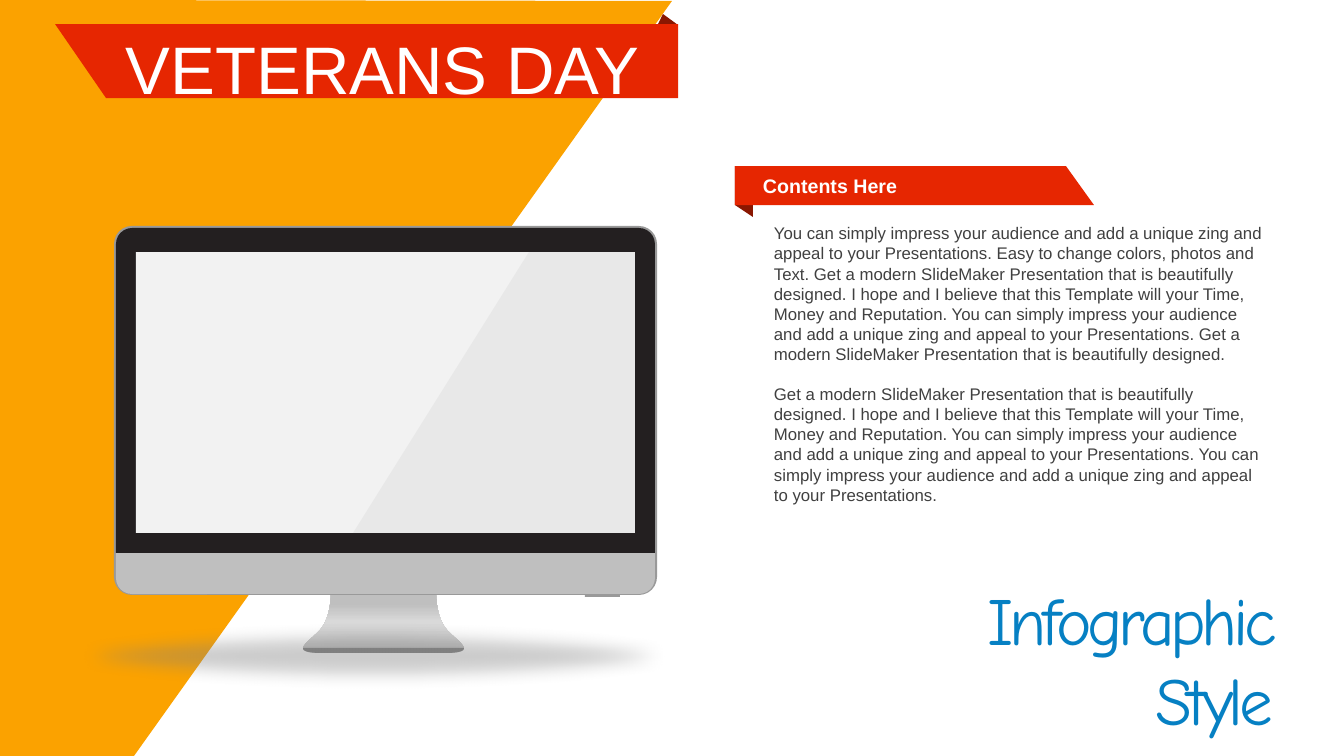
from lxml import etree
from pptx import Presentation
from pptx.dml.color import RGBColor
from pptx.enum.shapes import MSO_SHAPE
from pptx.enum.text import MSO_ANCHOR, PP_ALIGN
from pptx.oxml import parse_xml
from pptx.oxml.ns import nsdecls, qn
from pptx.util import Pt

RECTANGLE, ROUNDED, OVAL = MSO_SHAPE.RECTANGLE, MSO_SHAPE.ROUNDED_RECTANGLE, MSO_SHAPE.OVAL
ROUND_TOP = MSO_SHAPE.ROUND_2_SAME_RECTANGLE
TOP, MIDDLE = MSO_ANCHOR.TOP, MSO_ANCHOR.MIDDLE
LEFT, RIGHT = PP_ALIGN.LEFT, PP_ALIGN.RIGHT

EMU_PER_PX = 12192000 / 1344
CURVE_STEPS = 12
COLORS = {
    "orange": "FBA200", "red": "E62601", "fold": "8A1701", "white": "FFFFFF",
    "frame": "999999", "bezel": "231F20", "chin": "BFBFBF", "screen": "F2F2F2",
    "foot": "808080", "stand_light": "D9D9D9", "body": "404040", "blue": "0680C3",
}
BODY = [
    "You can simply impress your audience and add a unique zing and appeal to your "
    "Presentations. Easy to change colors, photos and Text. Get a modern SlideMaker "
    "Presentation that is beautifully designed. I hope and I believe that this Template "
    "will your Time, Money and Reputation. You can simply impress your audience and add a "
    "unique zing and appeal to your Presentations. Get a modern SlideMaker Presentation "
    "that is beautifully designed.",
    "Get a modern SlideMaker Presentation that is beautifully designed. I hope and I "
    "believe that this Template will your Time, Money and Reputation. You can simply "
    "impress your audience and add a unique zing and appeal to your Presentations. You can "
    "simply impress your audience and add a unique zing and appeal to your Presentations.",
]


def px(length):
    return round(length * EMU_PER_PX)


def paint(shape, color, opacity=100):
    shape.shadow.inherit = False
    shape.line.fill.background()
    shape.fill.solid()
    shape.fill.fore_color.rgb = RGBColor.from_string(COLORS[color])
    if opacity < 100:
        color_element = shape._element.spPr.find(qn("a:solidFill"))[0]
        etree.SubElement(color_element, qn("a:alpha"), val=str(opacity * 1000))
    return shape


def add_block(slide, preset, box, color, opacity=100):
    shape = slide.shapes.add_shape(preset, *map(px, box))
    return paint(shape, color, opacity)


def add_outline(slide, origin, points, color, opacity=100):
    """Draw a closed outline whose points are relative to origin."""
    left, top = origin
    corners = [(px(left + x), px(top + y)) for x, y in points]
    builder = slide.shapes.build_freeform(*corners[0])
    builder.add_line_segments(corners[1:], close=True)
    return paint(builder.convert_to_shape(), color, opacity)


def curve(*controls):
    """Sample a cubic curve given by its four control points."""
    points = []
    for step in range(CURVE_STEPS + 1):
        t = step / CURVE_STEPS
        weights = ((1 - t) ** 3, 3 * t * (1 - t) ** 2, 3 * t * t * (1 - t), t ** 3)
        points.append(tuple(sum(w * c[axis] for w, c in zip(weights, controls))
                            for axis in (0, 1)))
    return points


def mirrored(points, width):
    return points + [(width - x, y) for x, y in reversed(points)]


def add_text(slide, box, paragraphs, size, color, font="Arial", bold=None,
             anchor=TOP, align=LEFT, gap=0):
    text_box = slide.shapes.add_textbox(*map(px, box))
    frame = text_box.text_frame
    frame.word_wrap = True
    frame.vertical_anchor = anchor
    for index, text in enumerate(paragraphs):
        paragraph = frame.paragraphs[0] if index == 0 else frame.add_paragraph()
        paragraph.text = text
        paragraph.alignment = align
        if index:
            paragraph.space_before = Pt(gap)
        paragraph.font.name = font
        paragraph.font.size = Pt(size)
        paragraph.font.bold = bold
        paragraph.font.color.rgb = RGBColor.from_string(COLORS[color])
    return frame


def add_stand(slide, left, top):
    side = (curve((28, 0), (28, 0), (28, 25), (16, 37))
            + curve((16, 37), (4, 49), (-14, 59), (18, 59))[1:])
    stand = add_outline(slide, (left, top), mirrored(side, 161), "chin")
    stops = ((0, "chin"), (53, "stand_light"), (83, "chin"), (100, "chin"))
    stop_xml = "".join(f'<a:gs pos="{position * 1000}"><a:srgbClr val="{COLORS[color]}"/></a:gs>'
                       for position, color in stops)
    solid = stand._element.spPr.find(qn("a:solidFill"))
    solid.getparent().replace(solid, parse_xml(
        f'<a:gradFill {nsdecls("a")} rotWithShape="1"><a:gsLst>{stop_xml}</a:gsLst>'
        '<a:lin ang="16200000" scaled="0"/></a:gradFill>'))


def add_monitor(slide, left, top, width, height):
    bezel_height, chin_height, corner = 325, 41, 16
    foot_left = left + 189
    add_stand(slide, foot_left, top + height - 1)
    frame = add_block(slide, ROUNDED, (left, top, width, height), "frame")
    frame.adjustments[0] = 18 / height
    add_block(slide, RECTANGLE, (left + 471, top + height - 1, 35, 3), "frame")
    bezel = add_block(slide, ROUND_TOP, (left + 2, top + 2, width - 4, bezel_height), "bezel")
    bezel.adjustments[0] = corner / bezel_height
    foot = curve((0, 0), (0, 3), (5, 5), (18, 5))
    add_outline(slide, (foot_left, top + 422), mirrored(foot, 161), "foot")
    chin = add_block(slide, ROUND_TOP, (left + 2, top + 327, width - 4, chin_height), "chin")
    chin.adjustments[0], chin.adjustments[1] = 0, corner / chin_height
    screen = (left + 22, top + 26)
    add_block(slide, RECTANGLE, (*screen, 499, 281), "screen")
    add_outline(slide, screen, [(393, 0), (499, 0), (499, 281), (217, 281)], "frame", 10)
    shadow = add_block(slide, OVAL, (left - 78, top + 396, 676, 68), "foot", 40)
    effects = shadow._element.spPr.find(qn("a:effectLst"))
    etree.SubElement(effects, qn("a:softEdge"), rad=str(Pt(12)))


def add_title_banner(slide, left, top, width, height):
    add_outline(slide, (left + width - 30, top - 10), [(15, 0), (30, 11), (30, 40), (0, 31)],
                "fold")
    add_outline(slide, (left, top), [(0, 0), (width, 0), (width, height), (51, height)], "red")
    title = add_text(slide, (left + 61, top + 7, 556, 64), ["VETERANS DAY"], 48, "white")
    title.paragraphs[0].line_spacing = 0.9


def add_contents(slide, left, top, width, height):
    add_outline(slide, (left, top), [(0, 0), (18, 0), (18, height + 12), (0, height)], "fold")
    add_outline(slide, (left, top),
                [(0, 0), (width - 28, 0), (width, height), (0, height)], "red")
    heading = add_text(slide, (left + 16, top + 1, 192, 38), ["Contents Here"], 14, "white",
                       bold=True, anchor=MIDDLE)
    heading.margin_left = px(12)
    add_text(slide, (left + 29, top + 52, 510, 295), BODY, 12, "body", gap=14)


def add_tagline(slide, box):
    frame = add_text(slide, box, ["Infographic Style"], 48, "blue", font="Comic Neue",
                     anchor=MIDDLE, align=RIGHT)
    frame.paragraphs[0].runs[0].font._element.set("spc", "-300")


def main():
    presentation = Presentation()
    presentation.slide_width, presentation.slide_height = px(1344), px(756)
    slide = presentation.slides.add_slide(presentation.slide_layouts[6])
    add_outline(slide, (0, 0), [(0, 0), (672, 1), (134, 756), (0, 756)], "orange")
    add_monitor(slide, 114, 226, 543, 369)
    add_title_banner(slide, 55, 24, 623, 74)
    add_contents(slide, 735, 166, 359, 39)
    add_tagline(slide, (864, 613, 419, 91))
    presentation.save("out.pptx")


if __name__ == "__main__":
    main()
